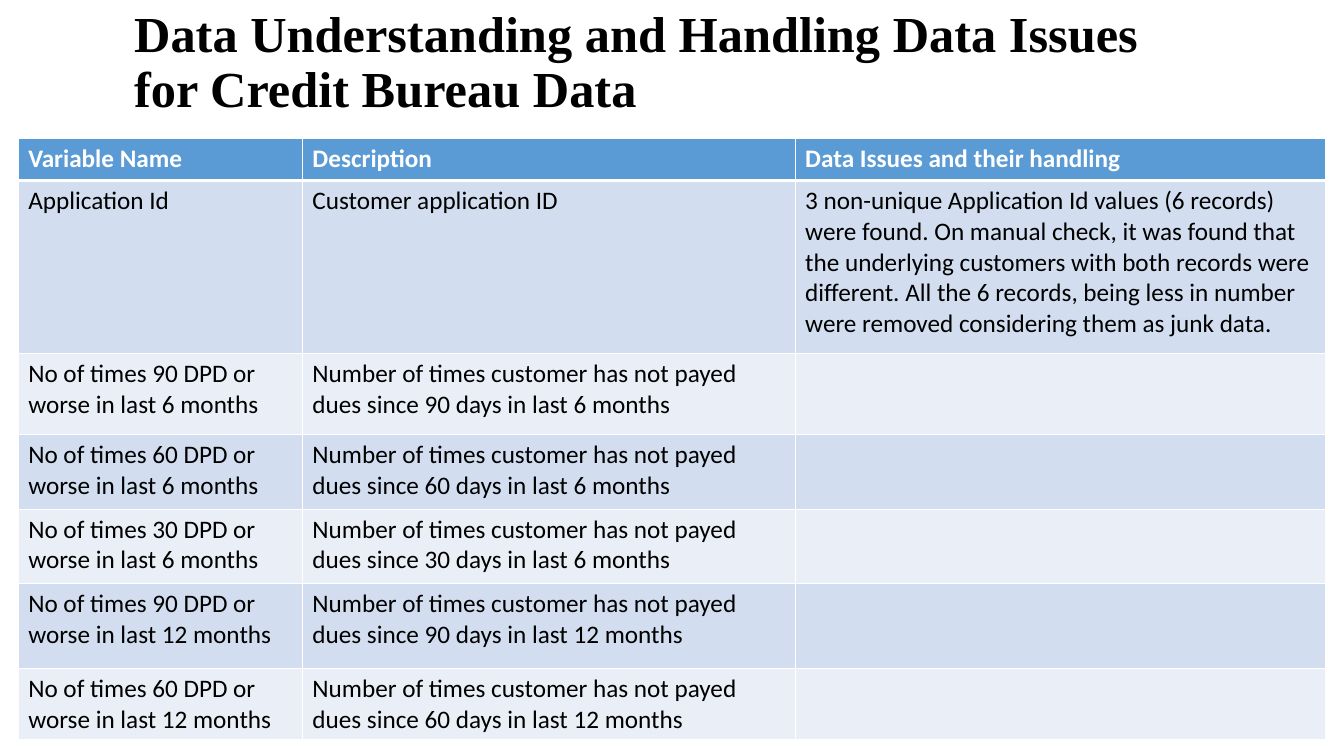
from dataclasses import dataclass

from pptx import Presentation
from pptx.dml.color import RGBColor as Rgb
from pptx.enum.text import MSO_ANCHOR as Anchor, MSO_AUTO_SIZE as AutoSize, PP_ALIGN as Align
from pptx.oxml import parse_xml
from pptx.oxml.ns import nsdecls
from pptx.util import Pt


@dataclass(frozen=True)
class Theme:
    header: str = "5B9BD5"
    bands: tuple = ("D2DEEF", "EAEFF7")
    white: str = "FFFFFF"
    black: str = "000000"
    title_font: str = "Times New Roman"
    body_font: str = "Calibri"
    title_size: int = 36
    body_size: int = 18


theme = Theme()


def style_text(para, font, size, color, bold):
    for span in para.runs:
        span.font.name = font
        span.font.size = Pt(size)
        span.font.bold = bold
        span.font.color.rgb = Rgb.from_string(color)


def add_border(cell, side, width):
    # Borders are added before the fill, as the cell schema requires
    cell._tc.get_or_add_tcPr().append(parse_xml(
        f'<a:{side} {nsdecls("a")} w="{Pt(width)}"><a:solidFill>'
        f'<a:srgbClr val="{theme.white}"/></a:solidFill></a:{side}>'))


# Slide
deck = Presentation()
deck.slide_width, deck.slide_height = Pt(960), Pt(540)
page = deck.slides.add_slide(deck.slide_layouts[5])

# Title
title = page.shapes.title
title.left, title.top, title.width, title.height = Pt(88.6), Pt(11.5), Pt(733.7), Pt(67.7)
frame = title.text_frame
frame.text = "Data Understanding and Handling Data Issues for Credit Bureau Data"
frame.word_wrap = True
frame.auto_size = AutoSize.NONE
frame.vertical_anchor = Anchor.MIDDLE
para = frame.paragraphs[0]
para.alignment = Align.LEFT
para.line_spacing = 0.9
style_text(para, theme.title_font, theme.title_size, theme.black, True)

# Table content: the overdue rows differ only in days and months
rows = [
    ("Variable Name", "Description", "Data Issues and their handling"),
    ("Application Id", "Customer application ID",
     "3 non-unique Application Id values (6 records) were found. On manual check, "
     "it was found that the underlying customers with both records were different. "
     "All the 6 records, being less in number were removed considering them as junk data."),
]
for days, months in ((90, 6), (60, 6), (30, 6), (90, 12), (60, 12)):
    rows.append((
        f"No of times {days} DPD or worse in last {months} months",
        f"Number of times customer has not payed dues since {days} days in last {months} months",
        ""))

# Table grid
widths = (203, 352, 378.7)
heights = (30.2, 123.8, 57.6, 53.3, 53.3, 60.5, 51)
table = page.shapes.add_table(
    len(rows), len(widths), Pt(13), Pt(98.8), Pt(sum(widths)), Pt(sum(heights))).table
for column, width in zip(table.columns, widths):
    column.width = Pt(width)
for row, height in zip(table.rows, heights):
    row.height = Pt(height)

# Table cells
for r, texts in enumerate(rows):
    is_header = r == 0
    fill = theme.header if is_header else theme.bands[(r - 1) % 2]
    color = theme.white if is_header else theme.black
    borders = {"lnL": 1, "lnR": 1, "lnT": 3 if r == 1 else 1, "lnB": 3 if is_header else 1}
    for c, text in enumerate(texts):
        cell = table.cell(r, c)
        for side, width in borders.items():
            add_border(cell, side, width)
        cell.fill.solid()
        cell.fill.fore_color.rgb = Rgb.from_string(fill)
        if text:
            cell.text_frame.text = text
            style_text(cell.text_frame.paragraphs[0], theme.body_font,
                       theme.body_size, color, is_header)

deck.save("out.pptx")
